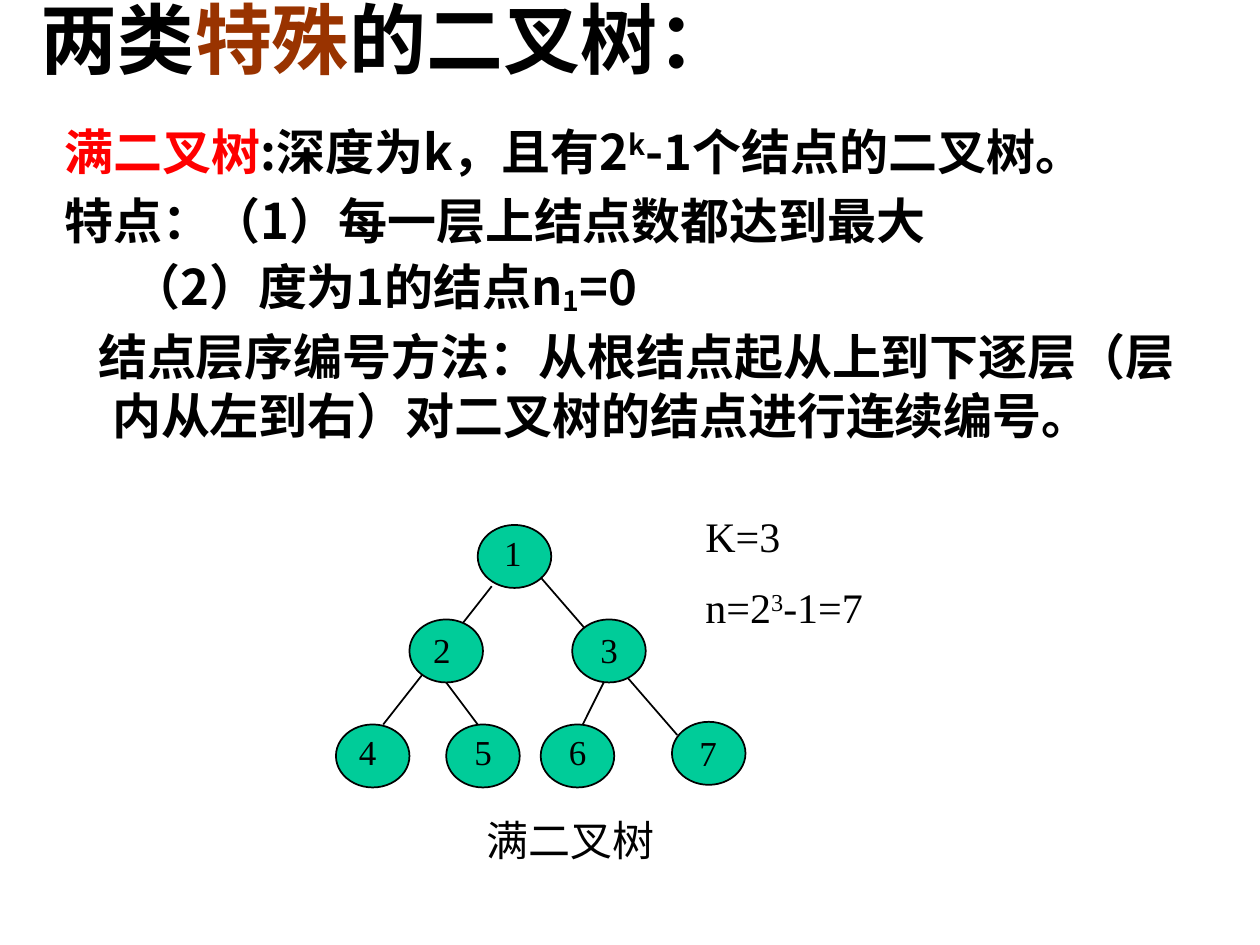
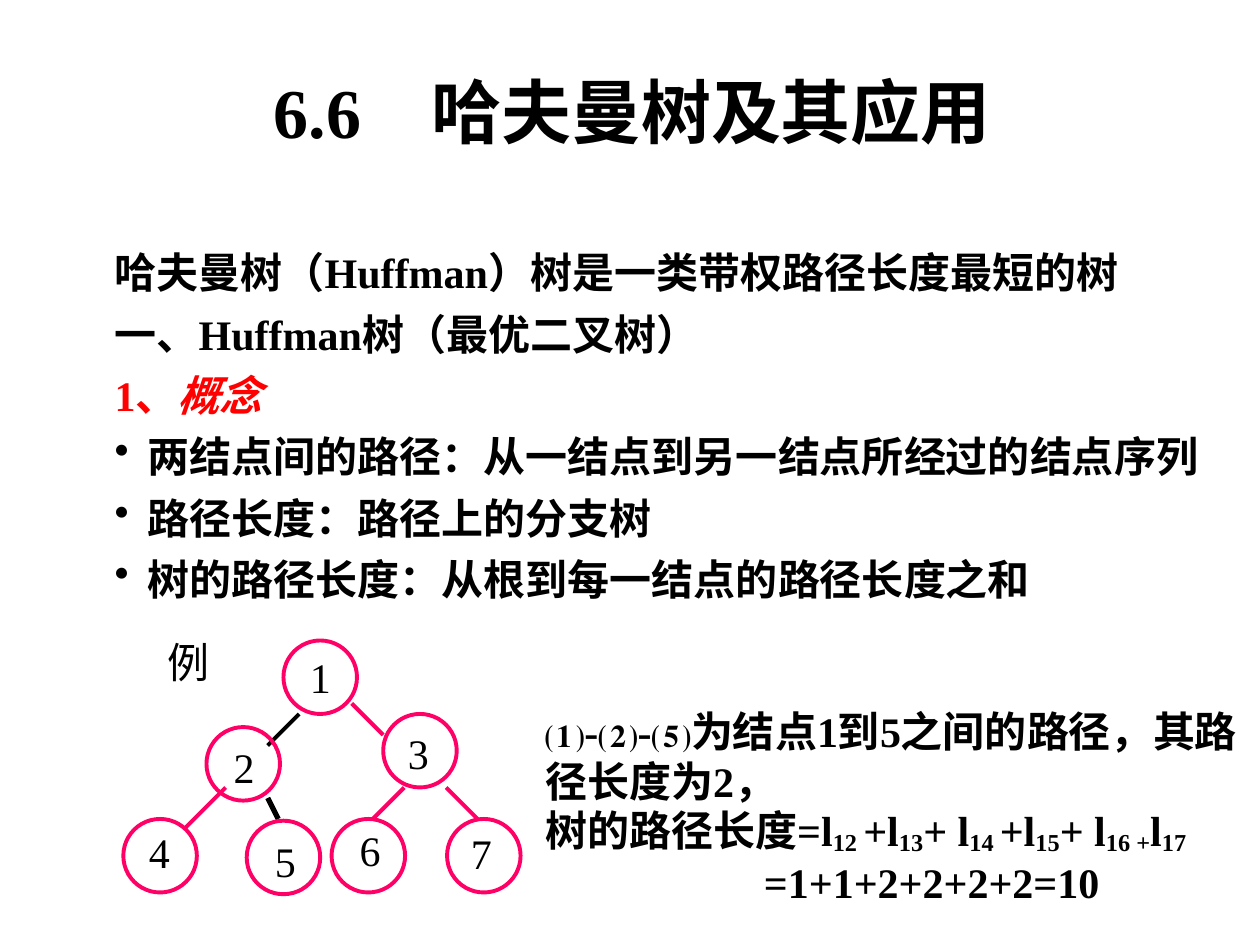
"""Build two slides on full binary trees and Huffman trees."""
import pptx
import pptx.util
import pptx.dml.color
import pptx.enum.shapes
import pptx.enum.text
import pptx.oxml.ns
from lxml import etree

Pt = pptx.util.Pt
RGB = pptx.dml.color.RGBColor
ALIGN = pptx.enum.text.PP_ALIGN
ANCHOR = pptx.enum.text.MSO_ANCHOR
KIND = pptx.enum.shapes.MSO_SHAPE
LINK = pptx.enum.shapes.MSO_CONNECTOR
qn = pptx.oxml.ns.qn

BLACK = RGB(0, 0, 0)
RED = RGB(255, 0, 0)
BROWN = RGB(0x99, 0x33, 0x00)
GREEN = RGB(0x00, 0xCC, 0x99)
PINK = RGB(0xFF, 0x00, 0x66)
SERIF = "Times New Roman"
SANS = "Noto Sans CJK SC"
LEAD = 1.2
TIGHT = 0.8
SUP = {"base": 30000}
SUB = {"base": -12000}

FULL = {
    "title": [{"runs": [("两类", {}), ("特殊", {"color": BROWN}), ("的二叉树：", {})],
               "align": ALIGN.CENTER}],
    "body": [
        {"runs": [("满二叉树", {"color": RED}), (":深度为k，且有2", {}), ("k", SUP),
                  ("-1个结点的二叉树。", {})], "left": 27, "first": -27},
        {"runs": [("特点：（1）每一层上结点数都达到最大", {})],
         "left": 27, "first": -27, "gap": 5.5},
        {"runs": [("（2）度为1的结点n", {}), ("1", SUB), ("=0", {})],
         "left": 38, "gap": 5.5},
        {"runs": [("结点层序编号方法：从根结点起从上到下逐层（层内从左到右）"
                   "对二叉树的结点进行连续编号。", {})],
         "left": 27, "first": -8, "gap": 5.5},
    ],
    "count": [{"runs": [("K=3", {})]},
              {"runs": [("n=2", {}), ("3", SUP), ("-1=7", {})], "gap": 12}],
    "name": [{"runs": [("满二叉树", {})], "left": 97}],
    "nodes": [
        ("1", 273, 300, 281, 300), ("2", 234, 354, 240.5, 355.5),
        ("3", 327, 354, 336, 355.5), ("4", 192, 414, 198, 414),
        ("5", 255, 414, 264, 414), ("6", 309, 414, 318, 414),
        ("7", 384, 412.5, 392.5, 414.5),
    ],
    "edges": [
        (309, 330, 387, 420, BLACK, 1), (281, 335, 219, 414, BLACK, 1),
        (255, 390, 273, 414, BLACK, 1), (345, 390, 333, 414, BLACK, 1),
    ],
}

HUFF = {
    "title": [{"runs": [("6.6　哈夫曼树及其应用", {})], "left": 50}],
    "body": [
        {"runs": [("哈夫曼树（Huffman）树是一类带权路径长度最短的树", {})]},
        {"runs": [("一、Huffman树（最优二叉树）", {})], "gap": 12, "scale": TIGHT},
        {"runs": [("1、", {"color": RED}), ("概念", {"color": RED, "slant": True})],
         "gap": 12, "scale": TIGHT},
    ] + [
        {"runs": [(text, {})], "left": 19, "first": -19, "gap": 12,
         "scale": TIGHT, "bullet": "•"}
        for text in ("两结点间的路径：从一结点到另一结点所经过的结点序列",
                     "路径长度：路径上的分支树",
                     "树的路径长度：从根到每一结点的路径长度之和")
    ],
    "case": [{"runs": [("例", {})]}],
    "sum": [
        {"runs": [("⑴-⑵-⑸为结点1到5之间的路径，其路径长度为2，", {})]},
        {"runs": [("树的路径长度=l", {}), ("12 ", SUB), ("+l", {}), ("13", SUB),
                  ("+ l", {}), ("14 ", SUB), ("+l", {}), ("15", SUB),
                  ("+ l", {}), ("16 +", SUB), ("l", {}), ("17", SUB)]},
        {"runs": [("=1+1+2+2+2+2=10", {})], "left": 125},
    ],
    "nodes": [
        ("1", 162, 366, 170, 368.5), ("2", 118, 415.5, 126.5, 420),
        ("3", 219, 408, 226, 412), ("4", 70.5, 468, 78, 468.5),
        ("5", 141, 469, 150, 474), ("6", 189.5, 468, 198.5, 467.5),
        ("7", 255.5, 468, 262, 469.5),
    ],
    "edges": [
        (171, 408, 153, 426, BLACK, 2.25), (129, 450, 105, 474, PINK, 2.25),
        (201, 402, 219, 420, PINK, 2.25), (255, 450, 273, 468, PINK, 2.25),
        (153, 456, 159, 468, BLACK, 3), (231, 450, 213, 468, PINK, 2.25),
    ],
}


def add_run(para, text, style, size, face, bold):
    run = para.add_run()
    run.text = text
    font = run.font
    font.size = Pt(size)
    font.name = face
    font.bold = bold
    font.italic = style.get("slant", False)
    font.color.rgb = style.get("color", BLACK)
    props = run._r.get_or_add_rPr()
    etree.SubElement(props, qn("a:ea")).set("typeface", SANS)
    if "base" in style:
        props.set("baseline", str(style["base"]))


def add_text(slide, box, paras, size=24, face=SERIF, bold=False, anchor=ANCHOR.TOP):
    frame = slide.shapes.add_textbox(*map(Pt, box)).text_frame
    frame.word_wrap = True
    frame.vertical_anchor = anchor
    for i, data in enumerate(paras):
        para = frame.add_paragraph() if i else frame.paragraphs[0]
        para.alignment = data.get("align", ALIGN.LEFT)
        para.line_spacing = Pt(size * LEAD * data.get("scale", 1))
        para.space_before = Pt(data.get("gap", 0))
        props = para._p.get_or_add_pPr()
        props.set("marL", str(Pt(data.get("left", 0))))
        props.set("indent", str(Pt(data.get("first", 0))))
        if "bullet" in data:
            etree.SubElement(props, qn("a:buChar")).set("char", data["bullet"])
        for text, style in data["runs"]:
            add_run(para, text, style, size, face, bold)


def add_edge(slide, x1, y1, x2, y2, color, width):
    edge = slide.shapes.add_connector(LINK.STRAIGHT, *map(Pt, (x1, y1, x2, y2)))
    edge.line.color.rgb = color
    edge.line.width = Pt(width)
    etree.SubElement(edge._element.spPr, qn("a:effectLst"))


def add_node(slide, x, y, high, fill, color, width):
    node = slide.shapes.add_shape(KIND.OVAL, *map(Pt, (x, y, 42, high)))
    node.shadow.inherit = False
    if fill is None:
        node.fill.background()
    else:
        node.fill.solid()
        node.fill.fore_color.rgb = fill
    node.line.color.rgb = color
    node.line.width = Pt(width)


def add_tree(slide, tree, high, fill, color, width, label, size):
    for edge in tree["edges"]:
        add_edge(slide, *edge)
    for text, x, y, left, top in tree["nodes"]:
        add_node(slide, x, y, high, fill, color, width)
        add_text(slide, (left, top, *label), [{"runs": [(text, {})]}], size)


def add_title(slide, box, paras, size):
    add_text(slide, box, paras, size, bold=True, anchor=ANCHOR.BOTTOM)


def main():
    deck = pptx.Presentation()
    deck.slide_width, deck.slide_height = Pt(720), Pt(540)
    blank = deck.slide_layouts[6]

    slide = deck.slides.add_slide(blank)
    add_text(slide, (30, 66, 654, 216), FULL["body"], 28, SANS, True)
    add_tree(slide, FULL, 36, GREEN, BLACK, 1, (42, 31), 20)
    add_text(slide, (396, 288, 126, 79), FULL["count"])
    add_text(slide, (174, 462, 282, 36), FULL["name"])
    add_title(slide, (14.5, 9.5, 414, 42), FULL["title"], 44)

    slide = deck.slides.add_slide(blank)
    add_title(slide, (99.5, 25, 501, 66), HUFF["title"], 40)
    add_text(slide, (58.5, 137.5, 639.5, 223), HUFF["body"], bold=True)
    add_tree(slide, HUFF, 42, None, PINK, 2.25, (30, 36), 24)
    add_text(slide, (88.5, 360, 50, 36), HUFF["case"])
    add_text(slide, (304.5, 399.5, 415.5, 122.5), HUFF["sum"], bold=True)

    deck.save("out.pptx")


if __name__ == "__main__":
    main()
